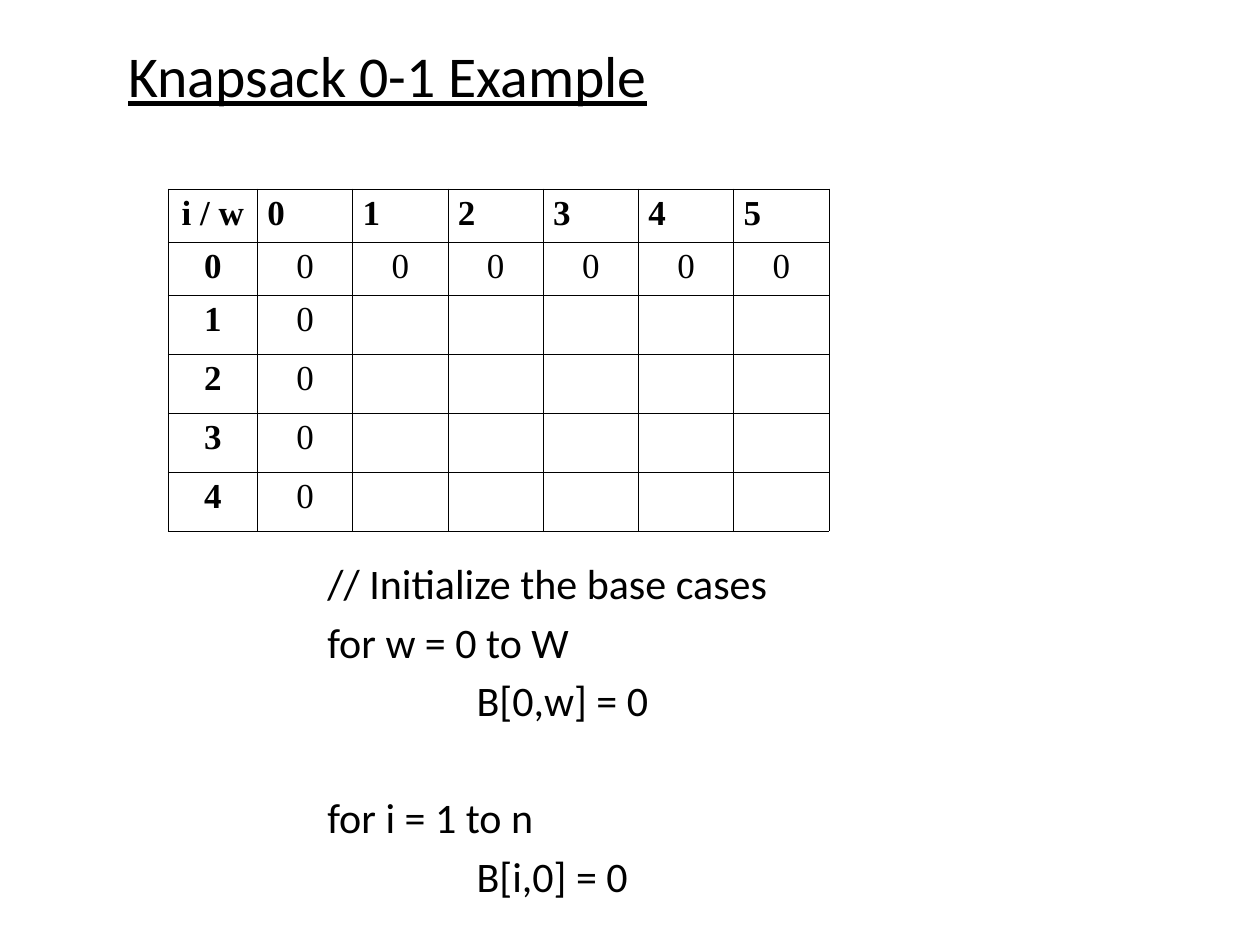
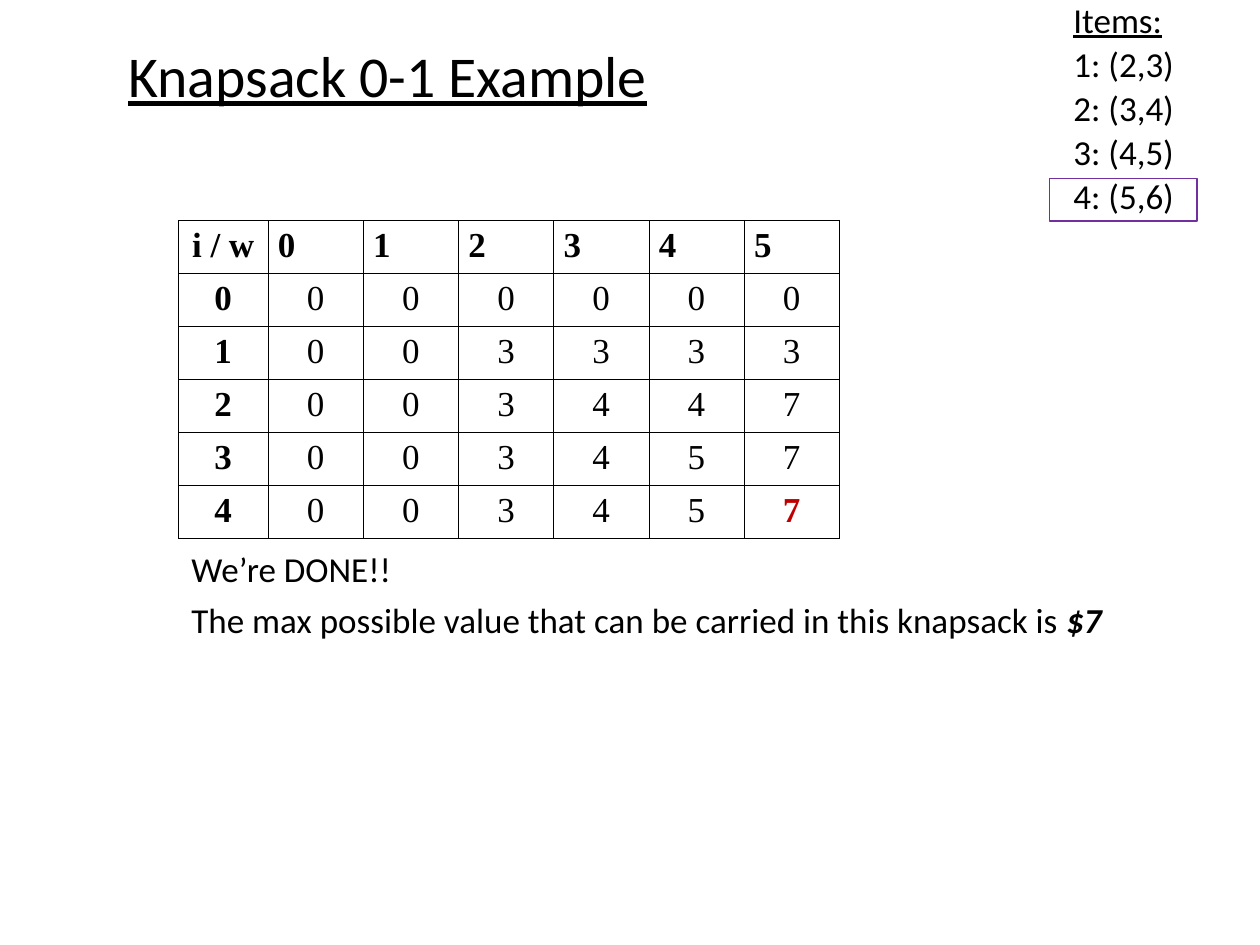
from lxml import etree
from pptx import Presentation
from pptx import util as u
from pptx.dml import color
from pptx.enum import shapes, text
from pptx.oxml import ns

# Shared look
BLACK, RED, PURPLE = "000000", "C00000", "7030A0"
SANS, SERIF = "Calibri", "Times New Roman"
WEIGHTS = range(6)


def rgb(code):
    return color.RGBColor.from_string(code)


def add_run(para, words, size, face=SANS, tint=BLACK, bold=False,
            slant=False, under=False):
    run = para.add_run()
    run.text = words
    font = run.font
    font.size, font.name = u.Pt(size), face
    font.color.rgb = rgb(tint)
    font.bold, font.italic, font.underline = bold, slant, under


def add_box(slide, left, top, width, height, anchor=text.MSO_ANCHOR.TOP):
    box = slide.shapes.add_textbox(u.Cm(left), u.Cm(top),
                                   u.Cm(width), u.Cm(height))
    frame = box.text_frame
    frame.word_wrap = True
    frame.vertical_anchor = anchor
    return frame


def add_line(frame, first, lead=0.9, gap=0, indent=0):
    """Start a paragraph; lead is the line spacing, gap the points above."""
    para = frame.paragraphs[0] if first else frame.add_paragraph()
    para.line_spacing = lead
    para.space_before = u.Pt(0 if first else gap)
    props = para._p.get_or_add_pPr()
    props.set("marL", str(u.Cm(indent)))
    props.set("indent", "0")
    return para


def add_title(slide):
    frame = add_box(slide, 2.34, 0, 20.83, 3.18, text.MSO_ANCHOR.MIDDLE)
    add_run(add_line(frame, True), "Knapsack 0-1 Example", 33, under=True)


def add_edges(cell):
    props = cell._tc.get_or_add_tcPr()
    for side in ("lnL", "lnR", "lnT", "lnB"):
        edge = etree.SubElement(props, ns.qn(f"a:{side}"), w=str(u.Pt(0.45)))
        fill = etree.SubElement(edge, ns.qn("a:solidFill"))
        etree.SubElement(fill, ns.qn("a:srgbClr"), val=BLACK)


def add_grid(slide, left, top, values, heights, answer=None):
    """Draw B[i, w]; answer is the (row, column) of the cell to stress."""
    rows = [["i / w", *WEIGHTS]]
    rows += [[i, *line] for i, line in enumerate(values)]
    widths = [1.8] + [1.92] * len(WEIGHTS)
    table = slide.shapes.add_table(
        len(rows), len(widths), u.Cm(left), u.Cm(top),
        u.Cm(sum(widths)), u.Cm(sum(heights))).table
    table.first_row = table.horz_banding = False
    for col, width in zip(table.columns, widths):
        col.width = u.Cm(width)
    for r, (line, height) in enumerate(zip(rows, heights)):
        table.rows[r].height = u.Cm(height)
        for c, value in enumerate(line):
            cell = table.cell(r, c)
            cell.margin_left = cell.margin_right = u.Cm(0.2)
            cell.margin_top = cell.margin_bottom = u.Cm(0.11)
            add_edges(cell)
            cell.fill.background()
            if value == "":
                continue
            para = cell.text_frame.paragraphs[0]
            head = r == 0 and c > 0
            para.alignment = (text.PP_ALIGN.LEFT if head
                              else text.PP_ALIGN.CENTER)
            hit = (r, c) == answer
            add_run(para, str(value), 20, SERIF, RED if hit else BLACK,
                    bold=r == 0 or c == 0 or hit)


def add_code(slide):
    frame = add_box(slide, 6.35, 11.23, 12.9, 7.19)
    # Words, points above, indent
    code = [("// Initialize the base cases", 0, 0),
            ("for w = 0 to W", 7.5, 0),
            ("B[0,w] = 0", 7.5, 3.01),
            ("for i = 1 to n", 41, 0),
            ("B[i,0] = 0", 7.5, 3.01)]
    for n, (words, gap, indent) in enumerate(code):
        add_run(add_line(frame, n == 0, gap=gap, indent=indent), words, 24)


def add_result(slide):
    frame = add_box(slide, 3.61, 11, 19.89, 6.99)
    add_run(add_line(frame, True), "We’re DONE!!", 20)
    para = add_line(frame, False, gap=7.5)
    add_run(para, "The max possible value that can be carried in this "
            "knapsack is ", 20)
    add_run(para, "$7", 20, bold=True, slant=True)


def add_items(slide, items):
    frame = add_box(slide, 21.16, 0, 2.97, 4.65)
    lines = ["Items:"] + [f"{n}: ({w},{v})"
                          for n, (w, v) in enumerate(items, 1)]
    for n, words in enumerate(lines):
        para = add_line(frame, n == 0, lead=0.8, gap=6, indent=0.23)
        add_run(para, words, 20, under=n == 0)


def add_mark(slide):
    mark = slide.shapes.add_shape(
        shapes.MSO_SHAPE.RECTANGLE,
        u.Cm(21.16), u.Cm(3.6), u.Cm(2.97), u.Cm(0.85))
    mark.shadow.inherit = False
    mark.fill.background()
    mark.line.color.rgb = rgb(PURPLE)
    mark.line.width = u.Pt(1)


def main():
    deck = Presentation()
    deck.slide_width, deck.slide_height = u.Cm(25.4), u.Cm(19.05)
    blank = deck.slide_layouts[6]

    # Base cases
    slide = deck.slides.add_slide(blank)
    add_title(slide)
    add_code(slide)
    base = [[0] * 6] + [[0] + [""] * 5] * 4
    add_grid(slide, 3.39, 3.81, base, [1.04] * 2 + [1.19] * 4)

    # Finished table
    slide = deck.slides.add_slide(blank)
    add_title(slide)
    add_result(slide)
    add_items(slide, [(2, 3), (3, 4), (4, 5), (5, 6)])
    best = [[0, 0, 0, 0, 0, 0],
            [0, 0, 3, 3, 3, 3],
            [0, 0, 3, 4, 4, 7],
            [0, 0, 3, 4, 5, 7],
            [0, 0, 3, 4, 5, 7]]
    add_grid(slide, 3.6, 4.45, best, [1.04] * 6, answer=(5, 6))
    add_mark(slide)

    deck.save("out.pptx")


if __name__ == "__main__":
    main()
